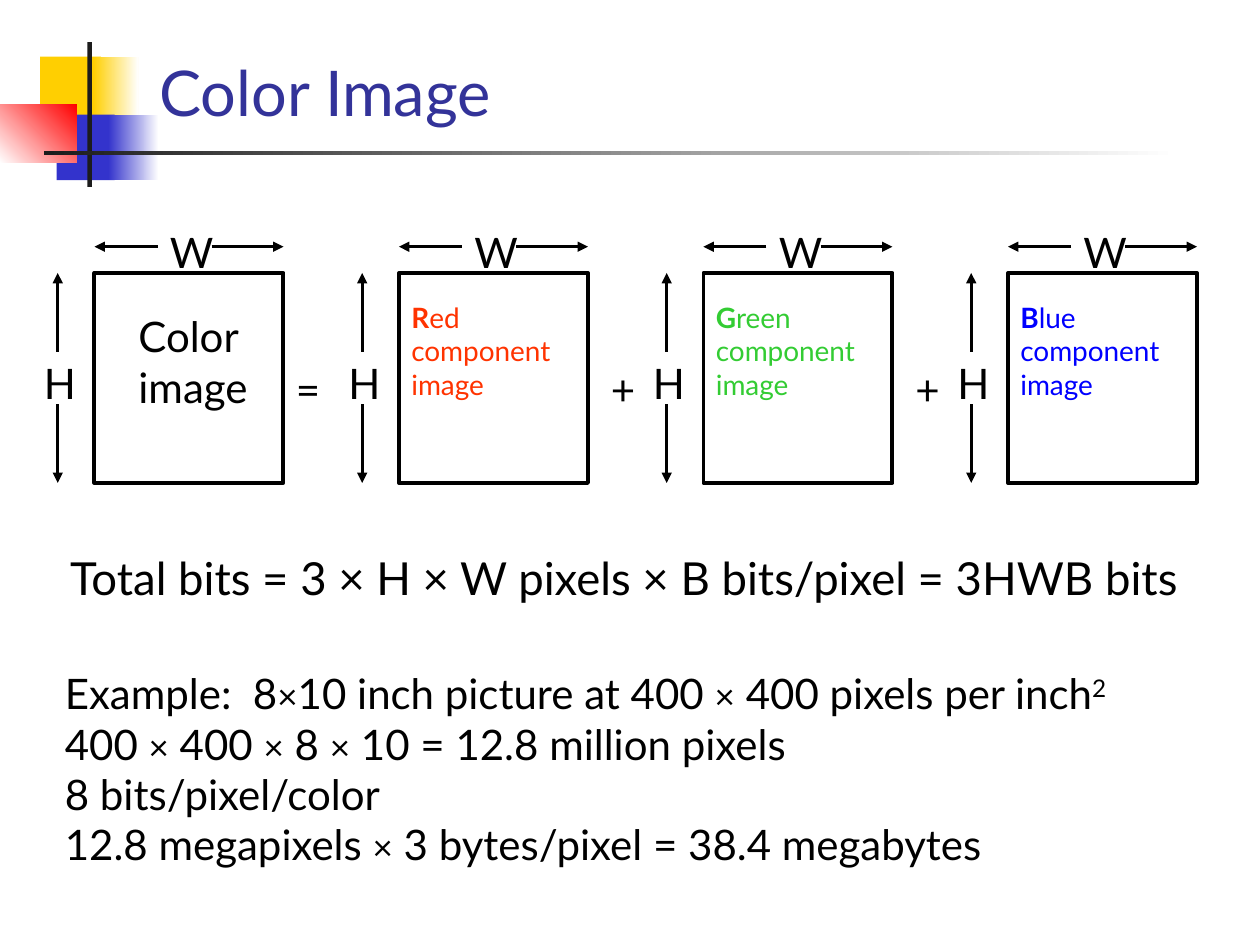
from lxml.etree import SubElement
from pptx import Presentation
from pptx.dml.color import RGBColor
from pptx.enum.shapes import MSO_CONNECTOR as Connector, MSO_SHAPE as Shape
from pptx.enum.text import MSO_ANCHOR as Anchor, PP_ALIGN as Align
from pptx.oxml.ns import qn
from pptx.util import Pt

FONT = "Lato"
BLACK, WHITE, DARK = "000000", "FFFFFF", "1C1C1C"
YELLOW, BLUE, RED = "FFCF01", "3333CC", "FF0000"
PANEL_PITCH = 174

# label start, label rest, format, label box offset, operator after it, operator offset
PANELS = [
    ("", "Color image", {"size": Pt(24)}, (18, 18, 84, 65), "=", 108),
    ("R", "ed component image", {"size": Pt(16), "color": "FF3300"}, (0, 12, 108, 72), "+", 114),
    ("G", "reen component image", {"size": Pt(16), "color": "33CC33"}, (0, 12, 108, 72), "+", 114),
    ("B", "lue component image", {"size": Pt(16), "color": "0000FF"}, (0, 12, 108, 72), "", 0),
]
EXAMPLE = [
    "Example:  8×10 inch picture at 400 × 400 pixels per inch",
    "400 × 400 × 8 × 10 = 12.8 million pixels",
    "8 bits/pixel/color",
    "12.8 megapixels × 3 bytes/pixel = 38.4 megabytes",
]


def rgb(value):
    return RGBColor.from_string(value)


def points(*values):
    return [Pt(value) for value in values]


def add_span(para, text, **formats):
    span = para.add_run()
    span.text = text
    span.font.color.rgb = rgb(formats.pop("color", BLACK))
    for name, value in {"name": FONT, "size": Pt(24), **formats}.items():
        setattr(span.font, name, value)
    return span


def add_text_box(shapes, box):
    frame = shapes.add_textbox(*points(*box)).text_frame
    frame.word_wrap = True
    return frame


def add_label(shapes, box, text, **formats):
    para = add_text_box(shapes, box).paragraphs[0]
    add_span(para, text, **formats)
    return para


def add_block(shapes, box, colors, angle=0):
    """Rectangle with one solid colour or a two-colour gradient."""
    block = shapes.add_shape(Shape.RECTANGLE, *points(*box))
    block.shadow.inherit = False
    block.line.fill.background()
    if len(colors) == 1:
        block.fill.solid()
        block.fill.fore_color.rgb = rgb(colors[0])
        return
    block.fill.gradient()
    block.fill.gradient_angle = angle
    for stop, color in zip(block.fill.gradient_stops, colors):
        stop.color.rgb = rgb(color)


def add_arrow(shapes, start, end):
    arrow = shapes.add_connector(Connector.STRAIGHT, *points(*start, *end))
    arrow.line.width = Pt(1.5)
    arrow.line.color.rgb = rgb(BLACK)
    SubElement(arrow.line._get_or_add_ln(), qn("a:tailEnd"), type="triangle")
    SubElement(arrow._element.spPr, qn("a:effectLst"))


def add_decoration(page):
    shapes = page.shapes.add_group_shape().shapes
    add_block(shapes, (23, 32.4, 34.6, 37.4), [YELLOW])
    add_block(shapes, (53.3, 32.4, 25.9, 37.4), [YELLOW, WHITE])
    add_block(shapes, (32.4, 65.5, 33.1, 37.4), [BLUE])
    add_block(shapes, (62, 65.5, 28.8, 37.4), [BLUE, WHITE])
    add_block(shapes, (0, 59.8, 44, 33.1), [WHITE, RED], angle=45)
    add_block(shapes, (50, 24, 2.5, 82.8), [DARK])
    add_block(shapes, (25.2, 86.4, 648, 2.3), [DARK, WHITE])


def add_title(page, box, text):
    title = page.shapes.title
    title.left, title.top, title.width, title.height = points(*box)
    frame = title.text_frame
    frame.vertical_anchor = Anchor.BOTTOM
    frame.paragraphs[0].alignment = Align.LEFT
    add_span(frame.paragraphs[0], text, size=Pt(36), color="333399")


def add_panel(page, box, panel):
    """Image frame with its W and H dimensions, label and operator."""
    left, top, width, height = box
    initial, rest, formats, (dx, dy, *label_size), operator, operator_dx = panel
    shapes = page.shapes.add_group_shape().shapes

    frame = shapes.add_shape(Shape.RECTANGLE, *points(*box))
    frame.shadow.inherit = False
    frame.fill.background()
    frame.line.width = Pt(2.25)
    frame.line.color.rgb = rgb(BLACK)

    # Dimensions above and to the left
    across, down = top - 15, left - 21
    add_arrow(shapes, (left + 67, across), (left + width, across))
    add_arrow(shapes, (left + 36, across), (left, across))
    add_arrow(shapes, (down, top + 45), (down, top))
    add_arrow(shapes, (down, top + 75), (down, top + height))
    add_label(shapes, (left - 36, top + 45, 36, 36), "H")
    add_label(shapes, (left + 36, top - 30, 36, 36), "W")

    # Label inside, operator to the right
    para = add_text_box(page.shapes, (left + dx, top + dy, *label_size)).paragraphs[0]
    if initial:
        add_span(para, initial, bold=True, **formats)
    add_span(para, rest, **formats)
    if operator:
        add_label(page.shapes, (left + operator_dx, top + 48, 30, 36), operator)


def add_example(page, box, lines):
    frame = add_text_box(page.shapes, box)
    for number, line in enumerate(lines):
        para = frame.add_paragraph() if number else frame.paragraphs[0]
        for index, part in enumerate(line.split("×")):
            if index:
                add_span(para, "×", size=Pt(20))
            add_span(para, part)
    square = add_span(frame.paragraphs[0], "2")
    square.font._element.set("baseline", "30000")


def main():
    deck = Presentation()
    deck.slide_width, deck.slide_height = points(720, 540)
    page = deck.slides.add_slide(deck.slide_layouts[5])

    add_decoration(page)
    add_title(page, (84, 24, 613.5, 53.3), "Color Image")
    for index, panel in enumerate(PANELS):
        add_panel(page, (54 + index * PANEL_PITCH, 156, 108, 120), panel)
    add_label(page.shapes, (33, 310.5, 663, 38),
              "Total bits = 3 × H × W pixels × B bits/pixel = 3HWB bits", size=Pt(26))
    add_example(page, (30, 378, 642, 122.5), EXAMPLE)

    deck.save("out.pptx")


if __name__ == "__main__":
    main()
